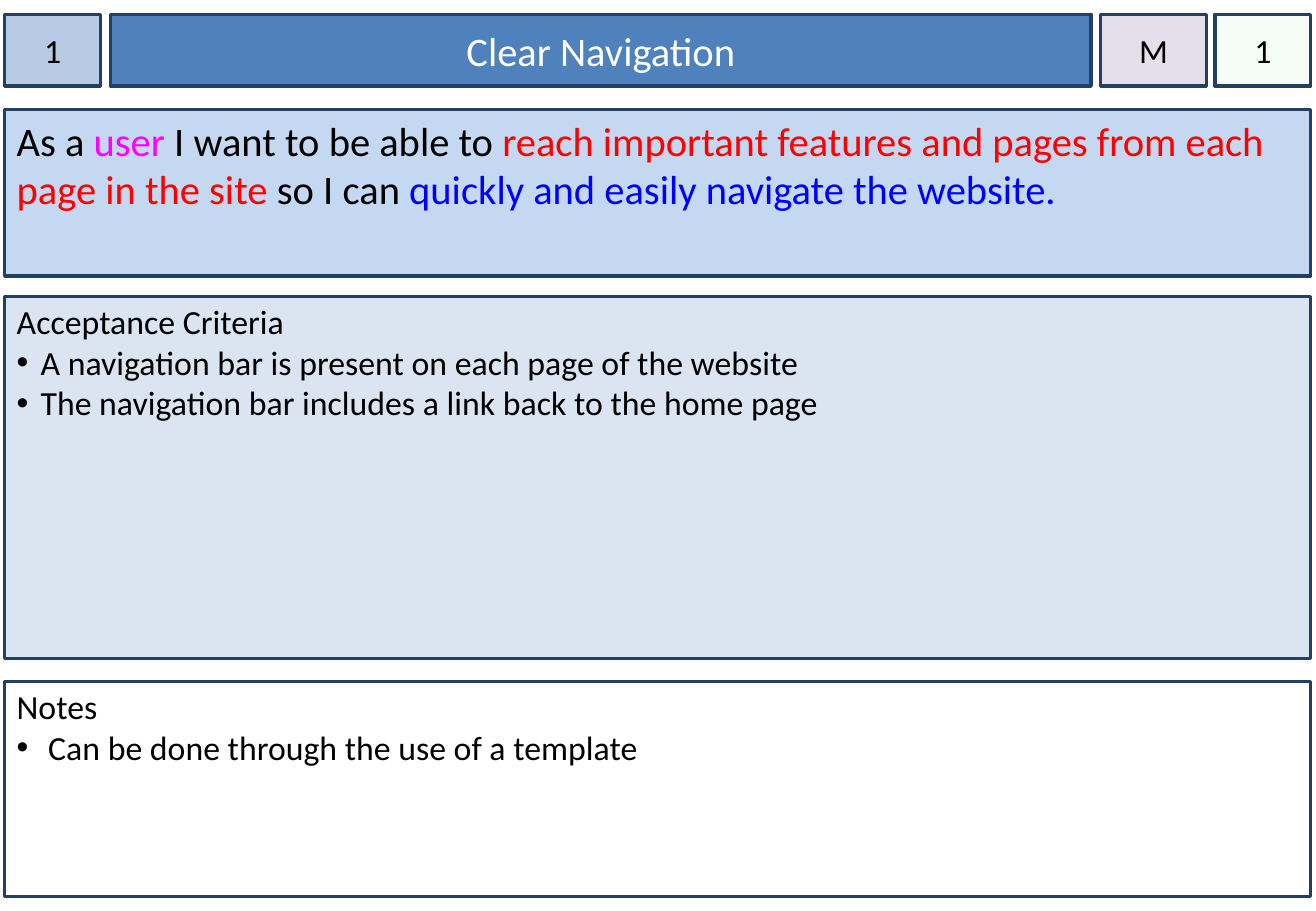
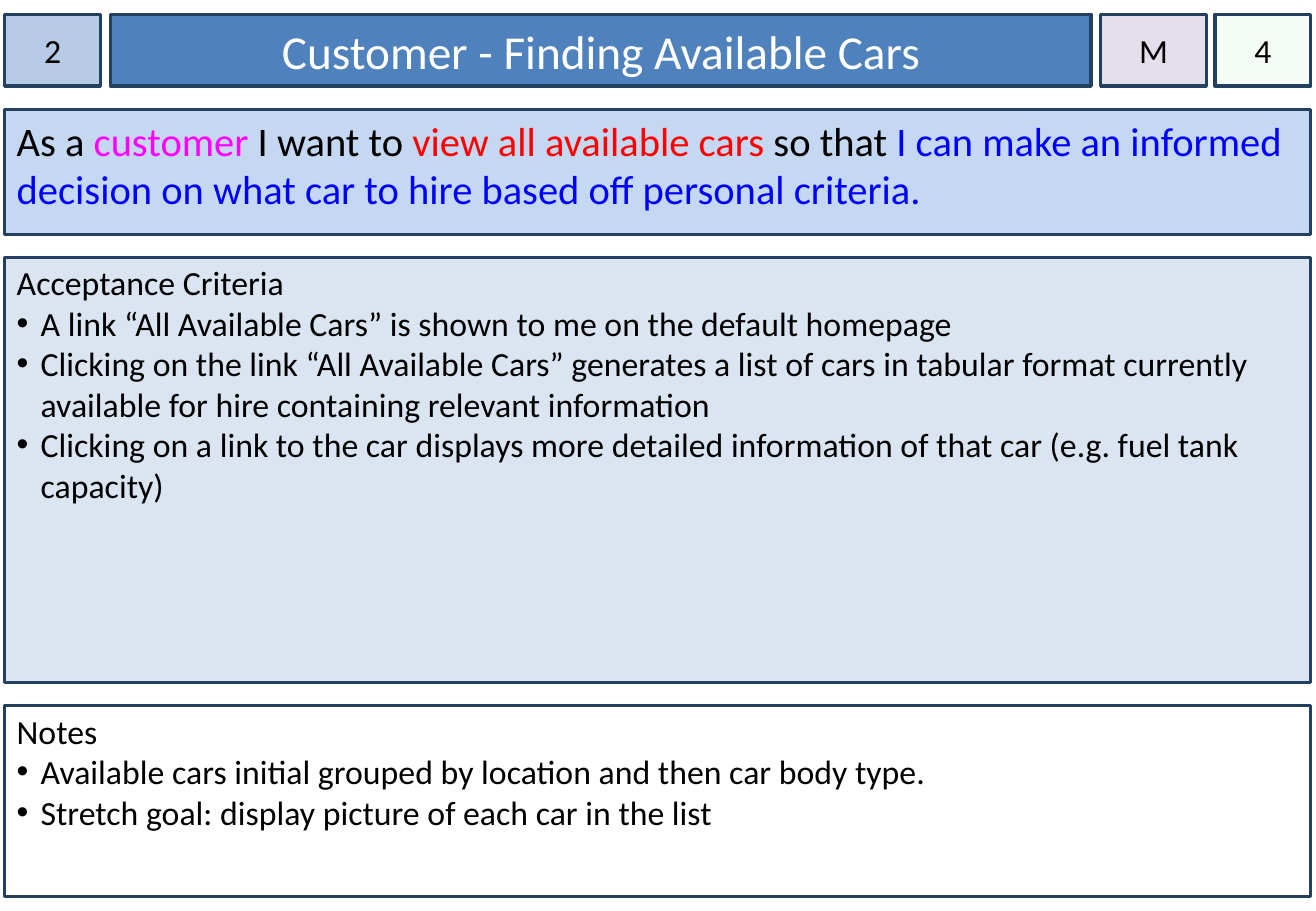
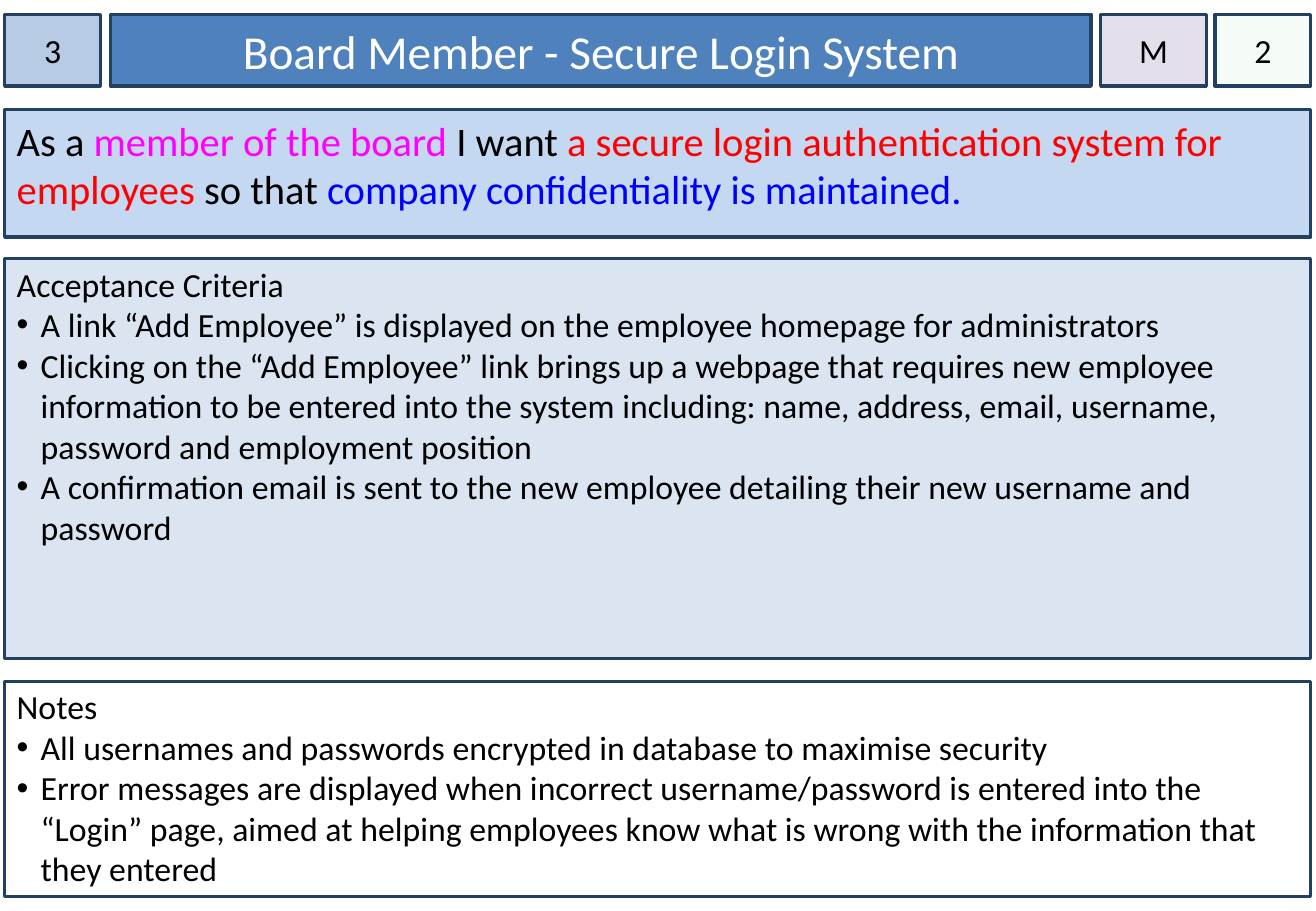
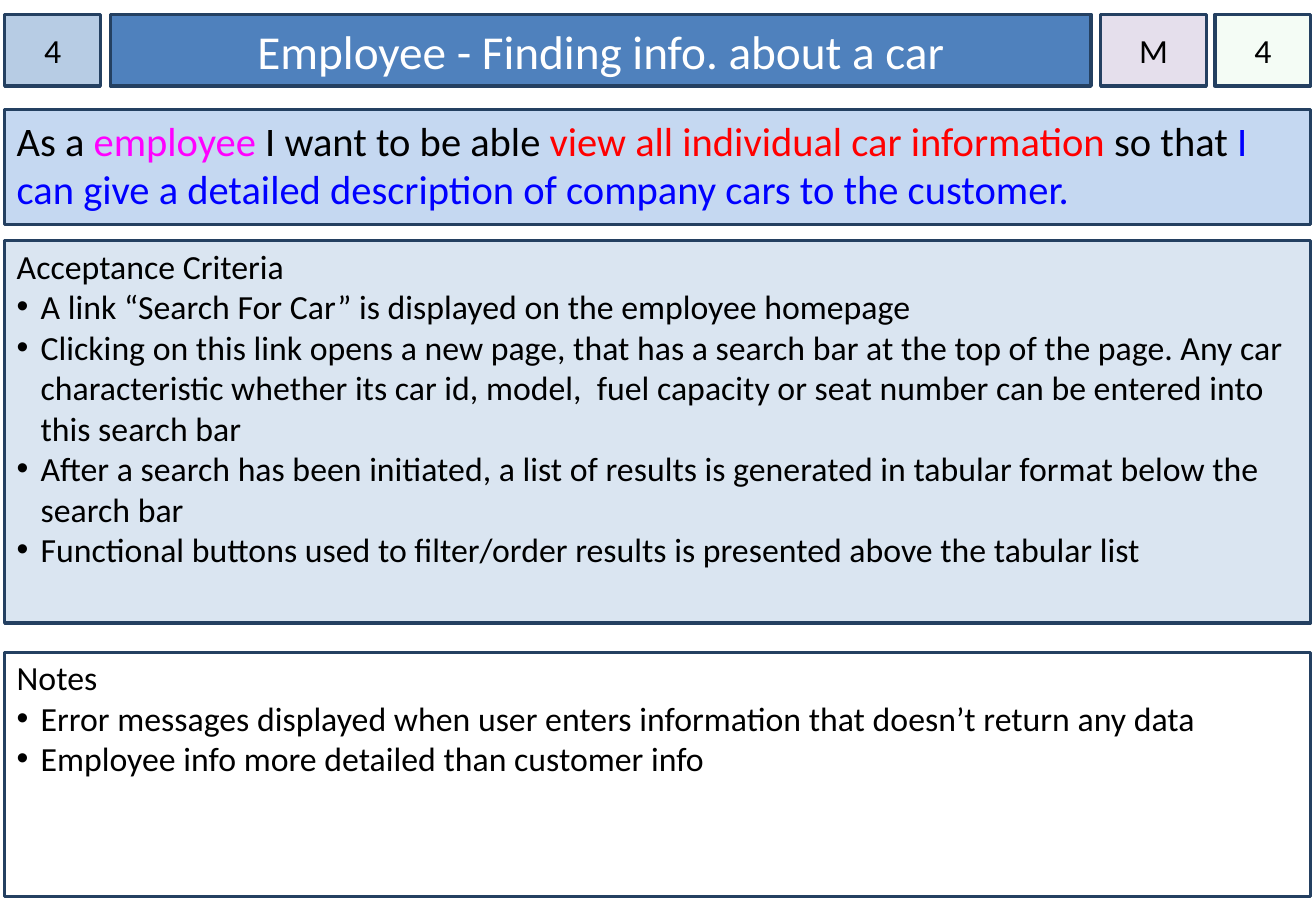
from lxml.etree import SubElement
from pptx import Presentation
from pptx.dml.color import RGBColor
from pptx.enum.shapes import MSO_SHAPE
from pptx.enum.text import MSO_ANCHOR, MSO_AUTO_SIZE, PP_ALIGN
from pptx.oxml.ns import qn
from pptx.util import Cm, Pt

NAVY = RGBColor(0x24, 0x40, 0x61)
BLUE = RGBColor(0x4F, 0x81, 0xBD)
NUMBER_BLUE = RGBColor(0xB7, 0xCC, 0xE4)
STORY_BLUE = RGBColor(0xC5, 0xD8, 0xF1)
CRITERIA_BLUE = RGBColor(0xDA, 0xE5, 0xF1)
LILAC = RGBColor(0xE5, 0xDF, 0xEC)
GREEN = RGBColor(0xCC, 0xF0, 0xCD)
WHITE = RGBColor(0xFF, 0xFF, 0xFF)
BLACK = RGBColor(0x00, 0x00, 0x00)
ROLE_PINK = RGBColor(0xFF, 0x00, 0xFF)
GOAL_RED = RGBColor(0xFF, 0x00, 0x00)
REASON_BLUE = RGBColor(0x00, 0x00, 0xFF)
STORY_COLORS = [BLACK, ROLE_PINK, BLACK, GOAL_RED, BLACK, REASON_BLUE]

LEFT, WIDTH = 0.1, 27.3
HEADER_TOP, HEADER_HEIGHT = 0.3, 1.5
STORY_TOP, NOTES_BOTTOM = 2.29, 18.75

FRAME = {
    "word_wrap": True,
    "auto_size": MSO_AUTO_SIZE.NONE,
    "margin_left": Cm(0.25),
    "margin_right": Cm(0.25),
    "margin_top": Cm(0.13),
    "margin_bottom": Cm(0.13),
}
HEADER_FRAME = FRAME | {"vertical_anchor": MSO_ANCHOR.MIDDLE}
BADGE_FRAME = HEADER_FRAME | {"margin_left": 0, "margin_right": 0}
STORY_FRAME = FRAME | {"vertical_anchor": MSO_ANCHOR.TOP}
LIST_FRAME = STORY_FRAME | {"margin_top": Cm(0.1)}

CARDS = [
    {
        "title": "Clear Navigation", "title_size": 24, "priority": "M", "points": "1",
        "story_height": 3.48, "criteria_top": 6.2, "criteria_height": 7.57, "notes_top": 14.25,
        "story": ["As a ", "user ", "I want to be able to ",
                  "reach important features and pages from each page in the site ",
                  "so I can ", "quickly and easily navigate the website."],
        "criteria": ["A navigation bar is present on each page of the website",
                     "The navigation bar includes a link back to the home page"],
        "notes": [" Can be done through the use of a template"],
    },
    {
        "title": "Customer - Finding Available Cars", "title_size": 28, "priority": "M", "points": "4",
        "story_height": 2.62, "criteria_top": 5.38, "criteria_height": 8.89, "notes_top": 14.76,
        "story": ["As a ", "customer ", "I want to", " view all available cars", " so that ",
                  "I can make an informed decision on what car to hire based off personal criteria."],
        "criteria": ["A link “All Available Cars” is shown to me on the default homepage",
                     "Clicking on the link “All Available Cars” generates a list of cars in tabular "
                     "format currently available for hire containing relevant information",
                     "Clicking on a link to the car displays more detailed information of that car "
                     "(e.g. fuel tank capacity)"],
        "notes": ["Available cars initial grouped by location and then car body type.",
                  "Stretch goal: display picture of each car in the list"],
    },
    {
        "title": "Board Member - Secure Login System", "title_size": 28, "priority": "M", "points": "2",
        "story_height": 2.67, "criteria_top": 5.41, "criteria_height": 8.36, "notes_top": 14.25,
        "story": ["As a ", "member of the board", " I want ",
                  "a secure login authentication system for employees ",
                  "so that ", "company confidentiality is maintained."],
        "criteria": ["A link “Add Employee” is displayed on the employee homepage for administrators",
                     "Clicking on the “Add Employee” link brings up a webpage that requires new employee "
                     "information to be entered into the system including: name, address, email, "
                     "username, password and employment position",
                     "A confirmation email is sent to the new employee detailing their new username "
                     "and password"],
        "notes": ["All usernames and passwords encrypted in database to maximise security",
                  "Error messages are displayed when incorrect username/password is entered into the "
                  "“Login” page, aimed at helping employees know what is wrong with the information "
                  "that they entered"],
    },
    {
        "title": "Employee - Finding info. about a car", "title_size": 28, "priority": "M", "points": "4",
        "story_height": 2.41, "criteria_top": 5.03, "criteria_height": 8.0, "notes_top": 13.64,
        "story": ["As a ", "employee ", "I want to be able ", "view all individual car information ",
                  "so that ", "I can give a detailed description of company cars to the customer."],
        "criteria": ["A link “Search For Car” is displayed on the employee homepage",
                     "Clicking on this link opens a new page, that has a search bar at the top of the "
                     "page. Any car characteristic whether its car id, model,  fuel capacity or seat "
                     "number can be entered into this search bar",
                     "After a search has been initiated, a list of results is generated in tabular "
                     "format below the search bar",
                     "Functional buttons used to filter/order results is presented above the tabular list"],
        "notes": ["Error messages displayed when user enters information that doesn’t return any data",
                  "Employee info more detailed than customer info"],
    },
]


def style_box(box, place, fill, frame):
    for side, length in zip(("left", "top", "width", "height"), place):
        setattr(box, side, Cm(length))
    box.fill.solid()
    box.fill.fore_color.rgb = fill
    box.line.color.rgb = NAVY
    box.line.width = Pt(2)
    for name, value in frame.items():
        setattr(box.text_frame, name, value)


def write_runs(paragraph, parts, size, align=PP_ALIGN.LEFT):
    paragraph.alignment = align
    for text, color in parts:
        run = paragraph.add_run()
        run.text = text
        run.font.color.rgb = color
        for name, value in {"name": "Calibri", "size": Pt(size)}.items():
            setattr(run.font, name, value)


deck = Presentation()
deck.slide_width, deck.slide_height = Cm(27.51), Cm(19.05)

for number, card in enumerate(CARDS, 1):
    slide = deck.slides.add_slide(deck.slide_layouts[5])

    title = slide.shapes.title
    style_box(title, (2.31, HEADER_TOP, 20.5, HEADER_HEIGHT), BLUE, HEADER_FRAME)
    write_runs(title.text_frame.paragraphs[0], [(card["title"], WHITE)],
               card["title_size"], PP_ALIGN.CENTER)

    for text, left, width, fill in [
        (str(number), LEFT, 2, NUMBER_BLUE),
        (card["priority"], 23.01, 2.21, LILAC),
        (card["points"], 25.4, 2, GREEN),
    ]:
        badge = slide.shapes.add_shape(MSO_SHAPE.RECTANGLE, 0, 0, 0, 0)
        badge.shadow.inherit = False
        style_box(badge, (left, HEADER_TOP, width, HEADER_HEIGHT), fill, BADGE_FRAME)
        write_runs(badge.text_frame.paragraphs[0], [(text, BLACK)], 20, PP_ALIGN.CENTER)
        if fill == GREEN:
            green = badge.fill._xPr.find(qn("a:solidFill"))[0]
            SubElement(green, qn("a:alpha"), val="20000")

    story = slide.shapes.add_shape(MSO_SHAPE.RECTANGLE, 0, 0, 0, 0)
    story.shadow.inherit = False
    style_box(story, (LEFT, STORY_TOP, WIDTH, card["story_height"]), STORY_BLUE, STORY_FRAME)
    write_runs(story.text_frame.paragraphs[0], zip(card["story"], STORY_COLORS), 24)

    for heading, items, top, height, fill in [
        ("Acceptance Criteria", card["criteria"], card["criteria_top"],
         card["criteria_height"], CRITERIA_BLUE),
        ("Notes", card["notes"], card["notes_top"], NOTES_BOTTOM - card["notes_top"], WHITE),
    ]:
        panel = slide.shapes.add_shape(MSO_SHAPE.RECTANGLE, 0, 0, 0, 0)
        panel.shadow.inherit = False
        style_box(panel, (LEFT, top, WIDTH, height), fill, LIST_FRAME)
        write_runs(panel.text_frame.paragraphs[0], [(heading, BLACK)], 20)
        for item in items:
            paragraph = panel.text_frame.add_paragraph()
            write_runs(paragraph, [(item, BLACK)], 20)
            properties = paragraph._p.get_or_add_pPr()
            properties.set("marL", str(Cm(0.5)))
            properties.set("indent", str(-Cm(0.5)))
            SubElement(properties, qn("a:buFont"), typeface="Arial")
            SubElement(properties, qn("a:buChar"), char="•")

deck.save("out.pptx")
